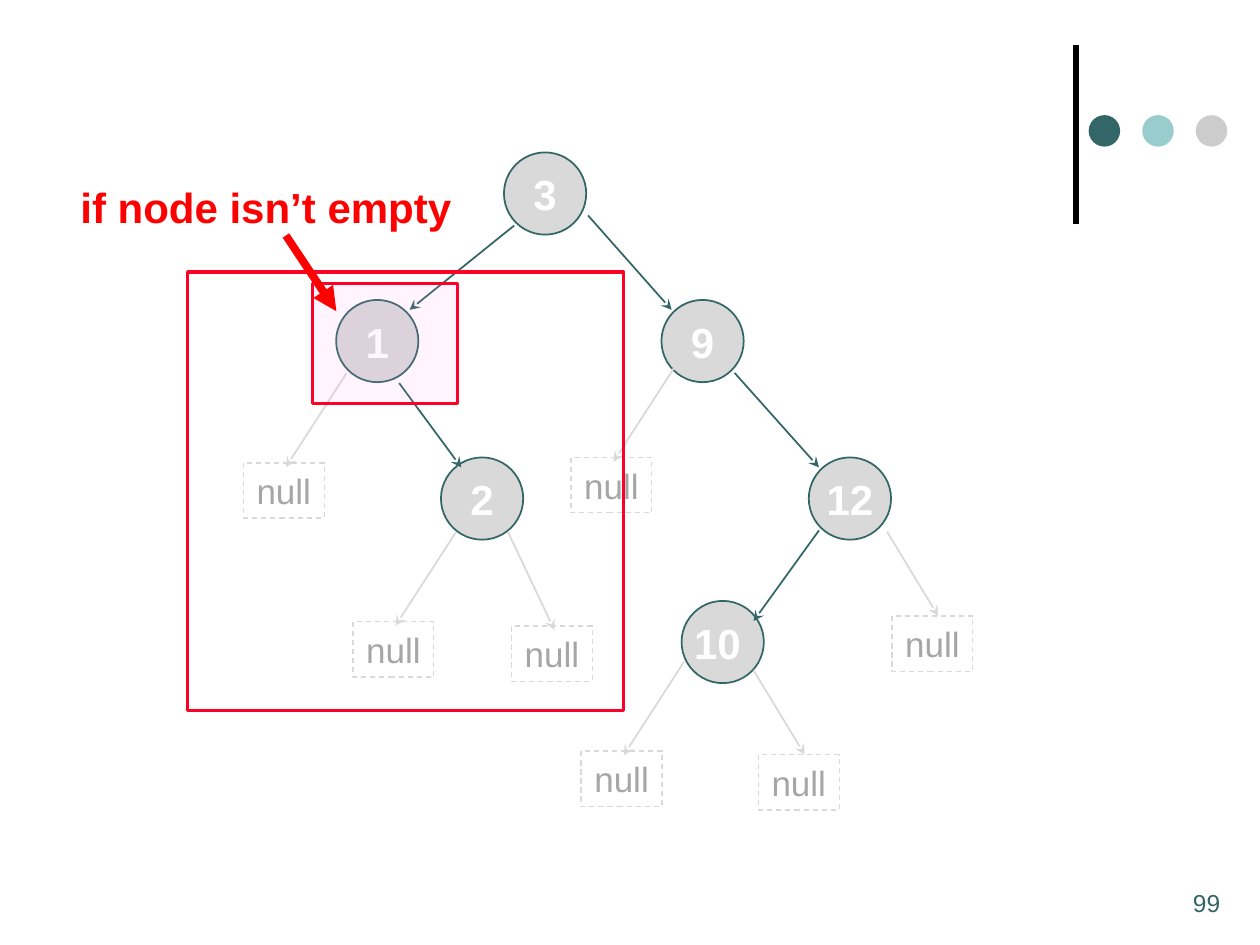
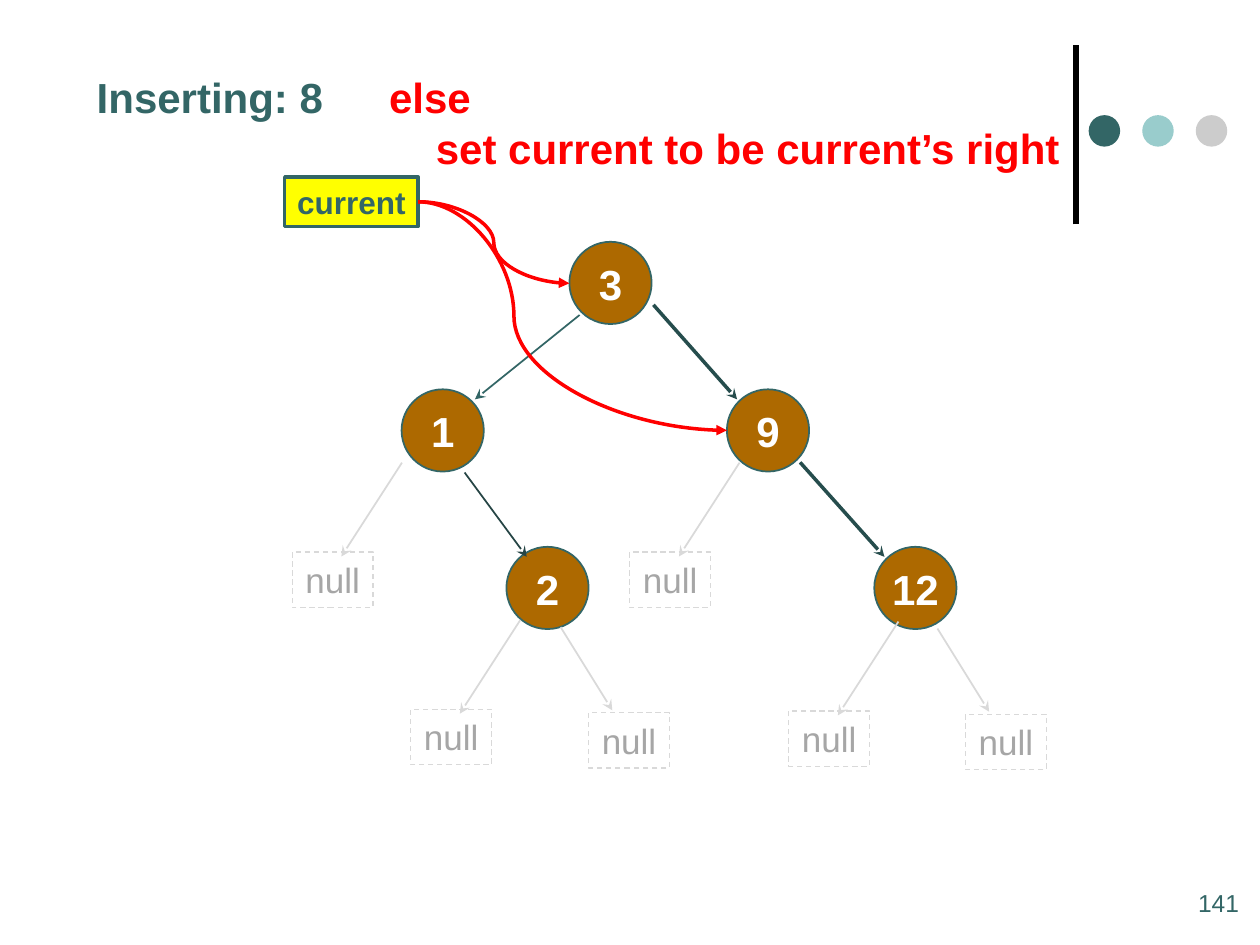
from dataclasses import dataclass
from typing import Any, NamedTuple

from lxml import etree
from pptx import Presentation, util as u
from pptx.dml.color import RGBColor
from pptx.enum import dml, shapes, text
from pptx.oxml import ns
from pptx.slide import Slide


@dataclass(frozen=True)
class Theme:
    font: str = "Arial"
    teal: str = "336666"
    mint: str = "99CCCC"
    silver: str = "CCCCCC"
    pale: str = "D9D9D9"
    gray: str = "A6A6A6"
    brown: str = "AD6900"
    deep: str = "264D4D"
    dusk: str = "264545"
    red: str = "FF0000"
    frame: str = "FC0128"
    pink: str = "FF99FF"
    yellow: str = "FFFF00"
    white: str = "FFFFFF"
    black: str = "000000"
    head: float = 24
    leaf: float = 20
    tag: float = 18
    foot: float = 14


class Box(NamedTuple):
    left: float
    top: float
    width: float
    height: float


class Node(NamedTuple):
    key: str
    left: float
    top: float
    nudge: float = 0


class Edge(NamedTuple):
    x: float
    y: float
    run: float
    drop: float


class Bend(NamedTuple):
    run: float
    drop: float
    left: float
    top: float


class Leaf(NamedTuple):
    x: float
    y: float
    bend: Bend


class Pen(NamedTuple):
    color: str
    width: float = 1
    head: str = "stealth"


T = Theme()
OVAL = shapes.MSO_SHAPE.OVAL
RECT = shapes.MSO_SHAPE.RECTANGLE
SIZE = 47
SHIFT = (37.4, 51.1)

NODES = [
    Node("3", 288, 87.1),
    Node("1", 192.1, 171.4),
    Node("9", 378, 171.4),
    Node("12", 462.2, 261.4),
    Node("2", 252, 261.4),
]
TEN = Node("10", 389.5, 343.4, -3)

EDGES = {
    "3-1": Edge(293.8, 128.9, -59.8, 48.2),
    "3-9": Edge(336, 123.1, 47.8, 54),
    "9-12": Edge(419.8, 213.1, 48.2, 54),
    "1-2": Edge(228.1, 218.9, 35.5, 48.2),
}
TO_TEN = Edge(468, 303.1, -37.4, 51.8)

NEAR = Bend(-34.6, 53.6, -24.3, -2.4)
STEEP = Bend(26.6, 56.2, -24.5, -2.2)
FAR = Bend(29.2, 48.2, -26.4, 0)
WIDE = Bend(-34.6, 53.6, -28.1, -2.5)
SHORT = Bend(29.5, 47.5, -13.5, 1.4)

LEAVES_ONE = [
    Leaf(198, 213.3, NEAR),
    Leaf(385.2, 210.2, NEAR),
    Leaf(260.6, 304, NEAR),
    Leaf(391, 378, NEAR),
    Leaf(290.2, 303.8, STEEP),
    Leaf(506.9, 303.8, FAR),
    Leaf(430.6, 383, FAR),
]
LEAVES_TWO = [
    Leaf(297.4, 354.2, WIDE),
    Leaf(320.4, 358.4, SHORT),
    Leaf(513.4, 355.2, WIDE),
    Leaf(535.7, 359.2, SHORT),
    Leaf(229.7, 264.4, WIDE),
    Leaf(422.6, 264.4, WIDE),
]


def dress(item: Any, **values: Any) -> None:
    for name, value in values.items():
        setattr(item, name, value)


def place(box: Box) -> list[u.Length]:
    return [u.Pt(side) for side in box]


def ink(color: str) -> RGBColor:
    return RGBColor.from_string(color)


def write(item: Any, words: list[str], size: float, color: str,
          bold: bool = False, center: bool = False, wrap: bool = False) -> None:
    frame = item.text_frame
    fit = text.MSO_AUTO_SIZE.NONE if wrap else text.MSO_AUTO_SIZE.SHAPE_TO_FIT_TEXT
    dress(frame, word_wrap=wrap, auto_size=fit)
    frame.text = "\n".join(words)
    for part in frame.paragraphs:
        part.alignment = text.PP_ALIGN.CENTER if center else text.PP_ALIGN.LEFT
        for run in part.runs:
            dress(run.font, name=T.font, size=u.Pt(size), bold=bold)
            run.font.color.rgb = ink(color)


def label(slide: Slide, box: Box, words: list[str], **style: Any) -> Any:
    item = slide.shapes.add_textbox(*place(box))
    write(item, words, **style)
    return item


def shape(slide: Slide, kind: Any, box: Box, fill: str = "",
          line: str = "", width: float = 1) -> Any:
    item = slide.shapes.add_shape(kind, *place(box))
    item.shadow.inherit = False
    if fill:
        item.fill.solid()
        item.fill.fore_color.rgb = ink(fill)
    else:
        item.fill.background()
    if line:
        item.line.color.rgb = ink(line)
        item.line.width = u.Pt(width)
    else:
        item.line.fill.background()
    return item


def stroke(slide: Slide, edge: Edge, pen: Pen, curve: float = 0) -> None:
    kind = shapes.MSO_CONNECTOR.CURVE if curve else shapes.MSO_CONNECTOR.STRAIGHT
    ends = (edge.x, edge.y, edge.x + edge.run, edge.y + edge.drop)
    item = slide.shapes.add_connector(kind, *(u.Pt(end) for end in ends))
    item.line.color.rgb = ink(pen.color)
    item.line.width = u.Pt(pen.width)
    props = item.element.spPr
    if pen.head:
        etree.SubElement(props.find(ns.qn("a:ln")), ns.qn("a:tailEnd"), type=pen.head)
    if curve:
        guides = props.find(ns.qn("a:prstGeom")).get_or_add_avLst()
        etree.SubElement(guides, ns.qn("a:gd"), name="adj1",
                         fmla=f"val {round(curve * 100000)}")
    etree.SubElement(props, ns.qn("a:effectLst"))


def start(deck: Any, number: str, left: float) -> Slide:
    slide = deck.slides.add_slide(deck.slide_layouts[6])
    stroke(slide, Edge(614.9, 128.2, 0, -102.2), Pen(T.black, 3, ""))
    for step, color in enumerate((T.teal, T.mint, T.silver)):
        shape(slide, OVAL, Box(622.1 + 30.6 * step, 65.8, 18, 18), color)
    label(slide, Box(left, 504, 42.5, 36), [number],
          size=T.foot, color=T.teal, wrap=True)
    return slide


def plant(slide: Slide, nodes: list[Node], fill: str,
          shift: tuple[float, float] = (0, 0)) -> None:
    for node in nodes:
        left, top = node.left + shift[0], node.top + shift[1]
        shape(slide, OVAL, Box(left, top, SIZE, SIZE), fill, T.teal)
        width = 28 if len(node.key) == 1 else 41
        inset = (SIZE - width) / 2 + node.nudge
        label(slide, Box(left + inset, top + 5.8, width, 36), [node.key],
              size=T.head, color=T.white, bold=True, center=True)


def sprout(slide: Slide, leaves: list[Leaf]) -> None:
    for x, y, bend in leaves:
        stroke(slide, Edge(x, y, bend.run, bend.drop), Pen(T.pale))
        box = Box(x + bend.run + bend.left, y + bend.drop + bend.top, 46.2, 31.6)
        item = shape(slide, RECT, box, line=T.pale, width=0.75)
        item.line.dash_style = dml.MSO_LINE.DASH
        write(item, ["null"], T.leaf, T.gray, center=True)


def check(deck: Any) -> None:
    slide = start(deck, "99", 674.6)
    plant(slide, [*NODES, TEN], T.pale)
    for edge in (*EDGES.values(), TO_TEN):
        stroke(slide, edge, Pen(T.teal))
    sprout(slide, LEAVES_ONE)
    shape(slide, RECT, Box(107.3, 155.5, 249.1, 250.6), line=T.frame, width=2)
    focus = shape(slide, RECT, Box(178.6, 162.1, 83, 68.5), T.pink, T.frame, 2)
    tint = focus.element.spPr.find(ns.qn("a:solidFill"))[0]
    etree.SubElement(tint, ns.qn("a:alpha"), val="10000")
    label(slide, Box(38.9, 100.1, 228.2, 36.4), ["if node isn’t empty"],
          size=T.head, color=T.red, bold=True)
    stroke(slide, Edge(163.4, 134.6, 28.8, 43.2), Pen(T.red, 4.5, "triangle"))


def insert(deck: Any) -> None:
    slide = start(deck, "141", 677.5)
    plant(slide, NODES, T.brown, SHIFT)
    pens = {
        "3-1": Pen(T.teal),
        "3-9": Pen(T.deep, 2),
        "9-12": Pen(T.deep, 2),
        "1-2": Pen(T.dusk),
    }
    for name, pen in pens.items():
        edge = EDGES[name]
        moved = edge._replace(x=edge.x + SHIFT[0], y=edge.y + SHIFT[1])
        stroke(slide, moved, pen)
    sprout(slide, LEAVES_TWO)
    label(slide, Box(48.2, 37.4, 145.4, 36.4), ["Inserting: 8"],
          size=T.head, color=T.teal, bold=True)
    tag = shape(slide, RECT, Box(162.7, 101.2, 76.3, 28.3), T.yellow, T.teal, 2)
    write(tag, ["current"], T.tag, T.teal, bold=True)
    dress(tag.text_frame, auto_size=text.MSO_AUTO_SIZE.NONE,
          vertical_anchor=text.MSO_ANCHOR.MIDDLE)
    arrow = Pen(T.red, 2, "triangle")
    stroke(slide, Edge(239, 115.3, 176.4, 130.6), arrow, 0.31)
    rule = label(slide, Box(215.3, 37.4, 401, 65.5),
                 ["else", "set current to be current’s right"],
                 size=T.head, color=T.red, bold=True)
    indent = rule.text_frame.paragraphs[1]._p.get_or_add_pPr()
    indent.set("marL", str(u.Pt(26.7)))
    stroke(slide, Edge(239, 115.3, 86.4, 46.6), arrow, 0.5)


def main() -> None:
    deck = Presentation()
    dress(deck, slide_width=u.Pt(720), slide_height=u.Pt(540))
    check(deck)
    insert(deck)
    deck.save("out.pptx")


if __name__ == "__main__":
    main()
